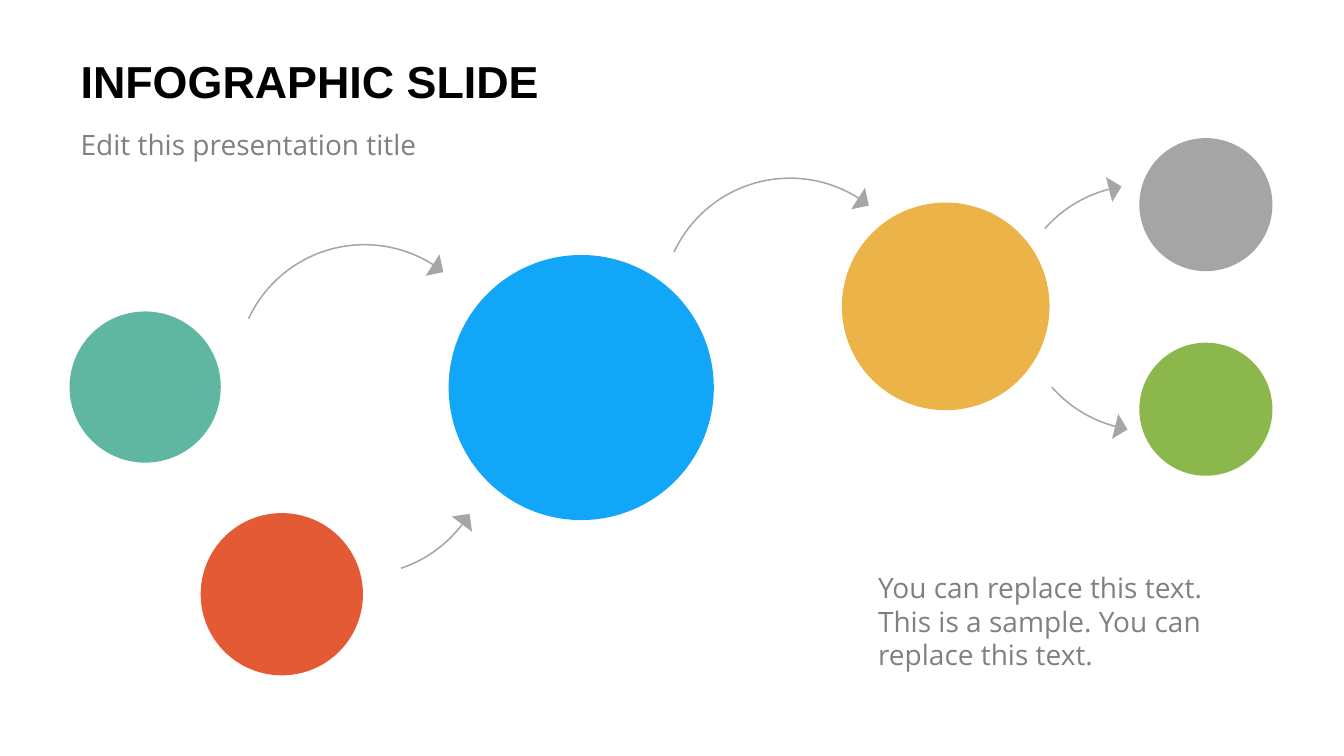
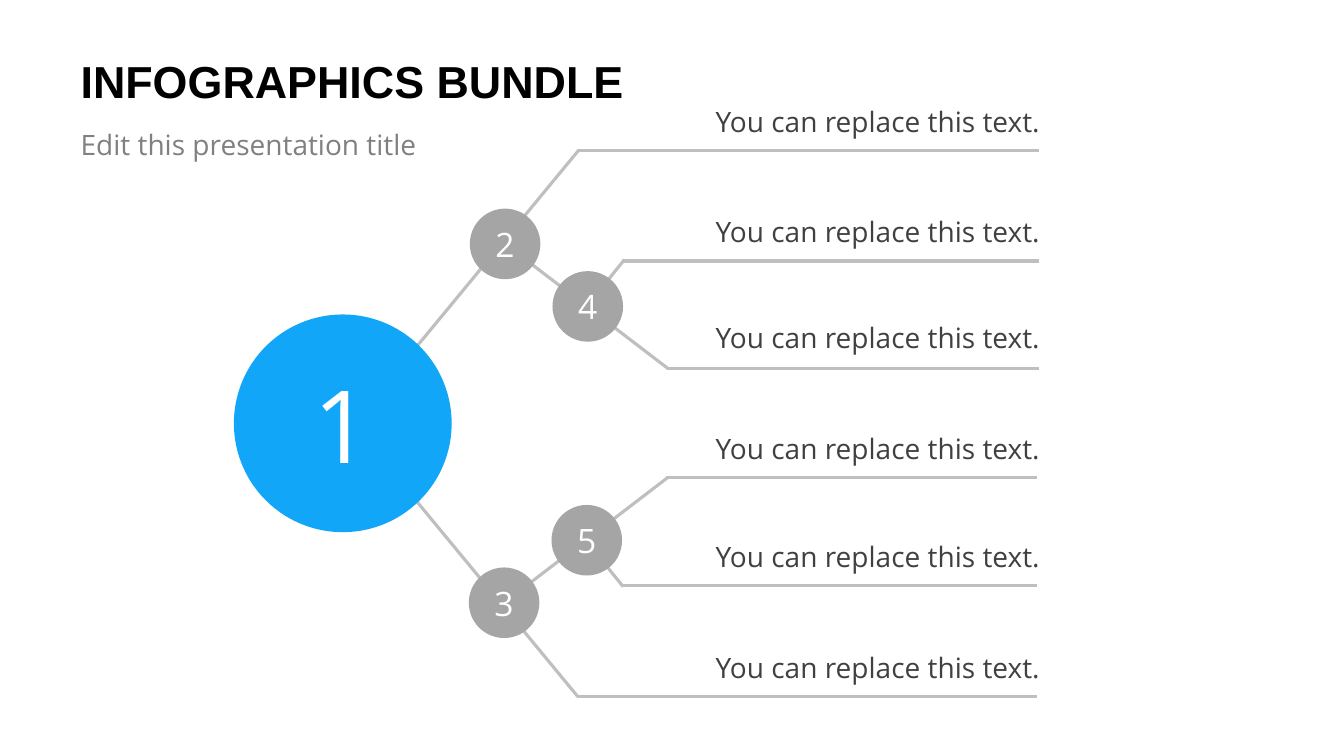
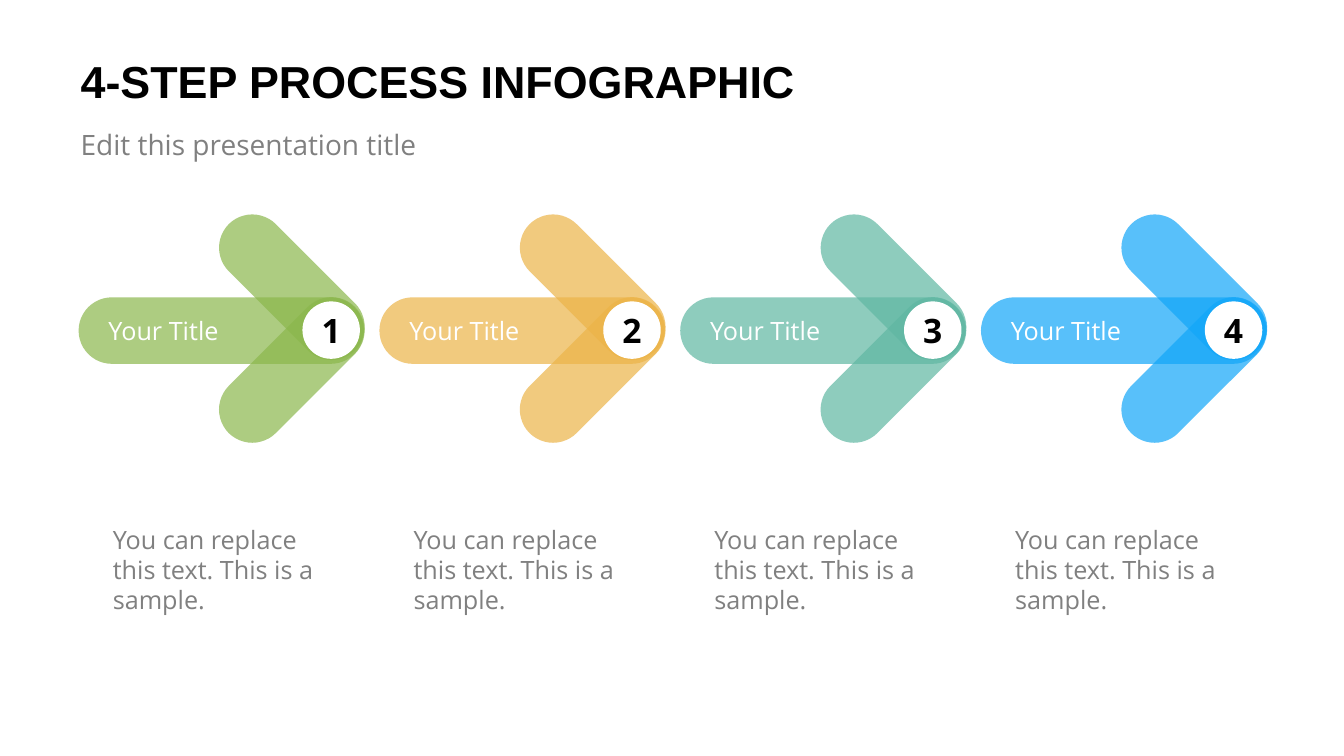
from lxml import etree
from pptx import Presentation
from pptx.dml.color import RGBColor
from pptx.enum.shapes import MSO_CONNECTOR, MSO_SHAPE
from pptx.enum.text import MSO_ANCHOR, MSO_AUTO_SIZE, PP_ALIGN
from pptx.oxml.ns import qn
from pptx.util import Inches, Pt

STRAIGHT = MSO_CONNECTOR.STRAIGHT
ELLIPSE = MSO_SHAPE.OVAL
ARC = MSO_SHAPE.BLOCK_ARC
TRIANGLE = MSO_SHAPE.RIGHT_TRIANGLE
PILL = MSO_SHAPE.ROUNDED_RECTANGLE
TOP, MIDDLE, BOTTOM = MSO_ANCHOR.TOP, MSO_ANCHOR.MIDDLE, MSO_ANCHOR.BOTTOM
FIT_SHAPE = MSO_AUTO_SIZE.SHAPE_TO_FIT_TEXT
LEFT, CENTER = PP_ALIGN.LEFT, PP_ALIGN.CENTER

BLACK = RGBColor(0x00, 0x00, 0x00)
WHITE = RGBColor(0xFF, 0xFF, 0xFF)
DARK = RGBColor(0x40, 0x40, 0x40)
MUTED = RGBColor(0x80, 0x80, 0x80)
GRAY = RGBColor(0xA5, 0xA5, 0xA5)
ARROW_GRAY = RGBColor(0xA6, 0xA6, 0xA6)
RULE_GRAY = RGBColor(0xBF, 0xBF, 0xBF)
GREEN = RGBColor(0x8B, 0xB7, 0x4C)
YELLOW = RGBColor(0xEC, 0xB4, 0x48)
TEAL = RGBColor(0x5F, 0xB7, 0xA2)
BLUE = RGBColor(0x12, 0xA6, 0xF8)
RED = RGBColor(0xE3, 0x5A, 0x35)

TITLE_FONT = "Arial"
BODY_FONT = "Open Sans"


def write(frame, text, size, color, font=BODY_FONT, bold=False, align=LEFT,
          anchor=TOP, insets=(0.1, 0.05, 0.1, 0.05)):
    frame.word_wrap = True
    frame.vertical_anchor = anchor
    (frame.margin_left, frame.margin_top,
     frame.margin_right, frame.margin_bottom) = map(Inches, insets)
    frame.text = text
    para = frame.paragraphs[0]
    para.alignment = align
    span = para.runs[0].font
    span.name, span.size, span.bold = font, Pt(size), bold
    span.color.rgb = color


def add_text(page, box, text, size, color, fit=True, **style):
    shape = page.shapes.add_textbox(*map(Inches, box))
    write(shape.text_frame, text, size, color, **style)
    if fit:
        shape.text_frame.auto_size = FIT_SHAPE


def add_solid(page, kind, box, color, turn=0, flip=None, alpha=None):
    shape = page.shapes.add_shape(kind, *map(Inches, box))
    shape.shadow.inherit = False
    shape.fill.solid()
    shape.fill.fore_color.rgb = color
    shape.line.fill.background()
    shape.rotation = turn
    if flip:
        shape._element.spPr.find(qn("a:xfrm")).set(flip, "1")
    if alpha:
        tint = shape._element.spPr.find(qn("a:solidFill"))[0]
        etree.SubElement(tint, qn("a:alpha")).set("val", str(alpha * 1000))
    return shape


def add_circle(page, left, top, size, color, text=None, text_size=24,
               text_color=WHITE, bold=False):
    circle = add_solid(page, ELLIPSE, (left, top, size, size), color)
    if text:
        write(circle.text_frame, text, text_size, text_color, bold=bold,
              align=CENTER, anchor=MIDDLE, insets=(0, 0, 0, 0))


def add_rule(page, x1, y1, x2, y2):
    rule = page.shapes.add_connector(STRAIGHT, *map(Inches, (x1, y1, x2, y2)))
    rule.line.color.rgb = RULE_GRAY
    rule.line.width = Pt(2.25)
    etree.SubElement(rule._element.spPr, qn("a:effectLst"))


def add_page(deck, title):
    page = deck.slides.add_slide(deck.slide_layouts[6])
    insets = (0.13, 0.07, 0.13, 0.07)
    add_text(page, (0.67, 0.41, 8.5, 0.78), title, 32, BLACK, fit=False,
             font=TITLE_FONT, bold=True, anchor=MIDDLE, insets=insets)
    add_text(page, (0.67, 1.19, 4.33, 0.56), "Edit this presentation title",
             20, MUTED, fit=False, insets=insets)
    return page


def add_curved_arrow(page, left, top, start, turn, head_offset, head_turn,
                     flip=None):
    size, head = 2.55, 0.18
    arc = add_solid(page, ARC, (left, top, size, size), ARROW_GRAY, turn, flip)
    for index, value in enumerate((start, 166.58, 0.006)):
        arc.adjustments[index] = value
    dx, dy = head_offset
    add_solid(page, TRIANGLE, (left + dx, top + dy, head, head), ARROW_GRAY,
              head_turn, flip)


def build_circle_flow(deck):
    page = add_page(deck, "INFOGRAPHIC SLIDE")
    add_text(page, (8.61, 5.6, 4.01, 1.11),
             "You can replace this text. This is a sample. "
             "You can replace this text.", 20, MUTED, anchor=BOTTOM)
    for left, top, size, color in (
            (11.3, 3.4, 1.32, GREEN), (0.69, 3.09, 1.5, TEAL),
            (8.35, 2.01, 2.06, YELLOW), (4.45, 2.53, 2.63, BLUE),
            (1.99, 5.09, 1.61, RED), (11.3, 1.37, 1.32, GRAY)):
        add_circle(page, left, top, size, color)

    long_start, short_start = 108, 146.1
    for left, top in ((2.34, 2.42), (6.56, 1.76)):
        add_curved_arrow(page, left, top, long_start, 24.8, (1.86, 0.12), 257.9)
    add_curved_arrow(page, 10.04, 1.83, short_start, 337.8, (0.87, -0.04), 210.9)
    add_curved_arrow(page, 10.11, 1.73, short_start, 22.2, (0.86, 2.41), 149.1,
                     "flipV")
    add_curved_arrow(page, 2.3, 3.16, short_start, 135, (2.19, 1.95), 261.9,
                     "flipH")


def add_branch(page, left, middle, side, inner, outer):
    rule_end = 6.35
    for x1, rise1, x2, rise2 in (
            (0, 0.54, 1.79, 2.71), (1.06, 1.78, 2.68, 0.54),
            (1.78, 2.71, rule_end, 2.71), (2.22, 1.61, rule_end, 1.61),
            (2.67, 0.54, rule_end, 0.54), (1.87, 1.16, 2.24, 1.62)):
        add_rule(page, left + x1, middle + side * rise1,
                 left + x2, middle + side * rise2)
    size = 0.7
    for x, rise, number in ((0.71, 1.78, inner), (1.53, 1.16, outer)):
        add_circle(page, left + x, middle + side * rise - size / 2, size, GRAY,
                   number)


def build_tree(deck):
    page = add_page(deck, "INFOGRAPHICS BUNDLE")
    middle, root = 4.2, 2.16
    add_branch(page, 3.95, middle, -1, "2", "4")
    add_branch(page, 3.94, middle, 1, "3", "5")
    add_circle(page, 2.32, middle - root / 2, root, BLUE, "1", 72)
    for top in (0.99, 2.08, 3.13, 4.23, 5.3, 6.4):
        add_text(page, (7, top, 4.84, 0.44), "You can replace this text.",
                 20, DARK)


def add_step(page, left, top, number, color):
    arm, thick = 1.77, 0.66
    for dx, dy, width, turn in ((0, 0, 2.83, 0), (1.23, 0.39, arm, 315),
                                (1.23, -0.43, arm, 45)):
        pill = add_solid(page, PILL, (left + dx, top + dy, width, thick), color,
                         turn, alpha=70)
        pill.adjustments[0] = 0.5
        if not turn:
            write(pill.text_frame, "Your Title", 18, WHITE, anchor=MIDDLE,
                  insets=(0.2, 0, 0, 0))
    add_circle(page, left + 2.22, top + 0.04, 0.57, WHITE, str(number),
               text_color=BLACK, bold=True)
    add_text(page, (left + 0.24, top + 2.2, 2.51, 1.01),
             "You can replace this text. This is a sample.", 18, MUTED)


def build_process(deck):
    page = add_page(deck, "4-STEP PROCESS INFOGRAPHIC")
    first, last = 0.78, 9.73
    colors = (GREEN, YELLOW, TEAL, BLUE)
    pitch = (last - first) / (len(colors) - 1)
    for index, color in enumerate(colors):
        add_step(page, first + index * pitch, 2.95, index + 1, color)


def main():
    deck = Presentation()
    deck.slide_width, deck.slide_height = Inches(13.33), Inches(7.5)
    build_circle_flow(deck)
    build_tree(deck)
    build_process(deck)
    deck.save("out.pptx")


if __name__ == "__main__":
    main()
